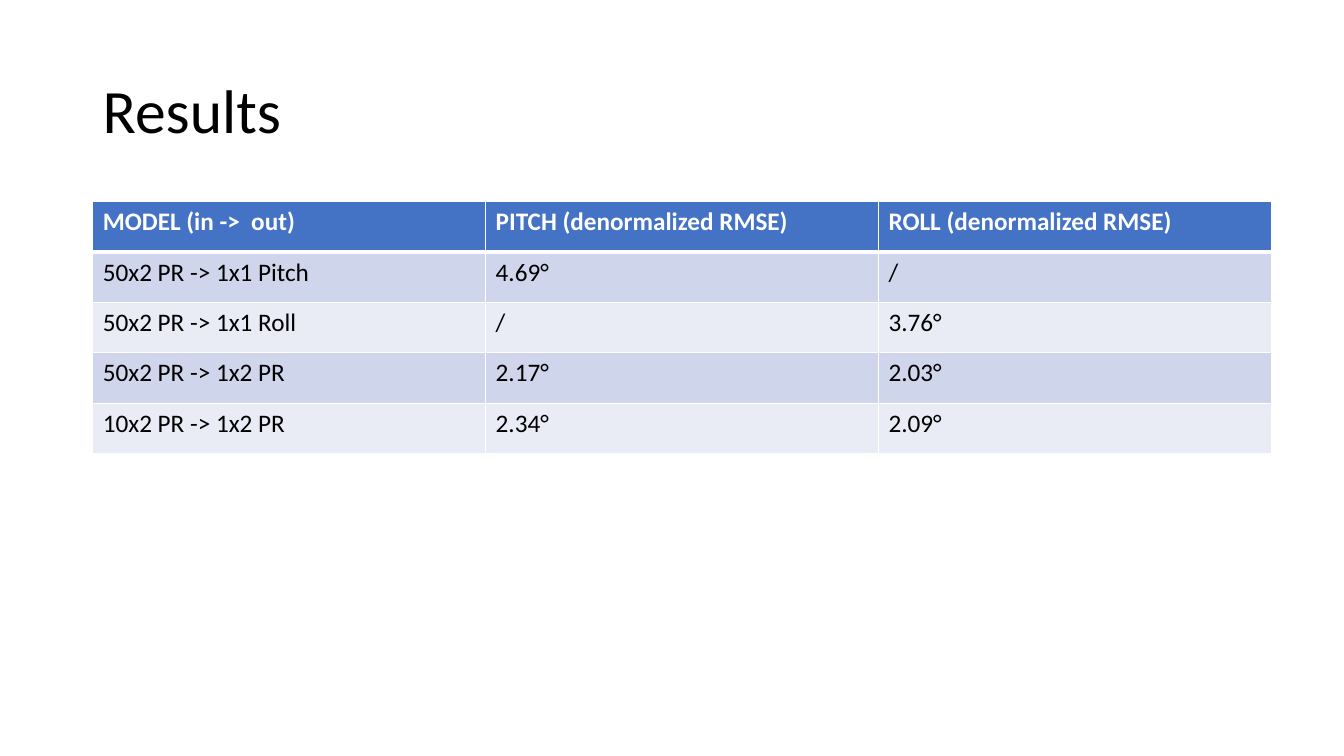
import dataclasses

import pptx
import pptx.dml.color
import pptx.enum.text
import pptx.oxml
import pptx.oxml.ns
import pptx.util

WIDE = pptx.util.Inches(13.33)
HIGH = pptx.util.Inches(7.5)
LEFT = pptx.util.Inches(0.92)
FONT = "Calibri"
COLORS = {
    "head": "4472C4",
    "odd": "CFD5EA",
    "even": "E9EBF5",
    "white": "FFFFFF",
    "black": "000000",
}


@dataclasses.dataclass(frozen=True)
class Look:
    fill: str
    ink: str
    bold: bool = False
    above: float = 1
    below: float = 1


@dataclasses.dataclass(frozen=True)
class Result:
    model: str
    pitch: str
    roll: str


HEADER = Result("MODEL (in ->  out)", "PITCH (denormalized RMSE)", "ROLL (denormalized RMSE)")
RESULTS = [
    Result("50x2 PR -> 1x1 Pitch", "4.69°", "/"),
    Result("50x2 PR -> 1x1 Roll", "/", "3.76°"),
    Result("50x2 PR -> 1x2 PR", "2.17°", "2.03°"),
    Result("10x2 PR -> 1x2 PR", "2.34°", "2.09°"),
]


def color(name: str) -> pptx.dml.color.RGBColor:
    return pptx.dml.color.RGBColor.from_string(COLORS[name])


def style(para, size: float, ink: str, bold: bool = False) -> None:
    para.font.name = FONT
    para.font.size = pptx.util.Pt(size)
    para.font.bold = bold
    para.font.color.rgb = color(ink)


def border(cell, look: Look) -> None:
    props = cell._tc.get_or_add_tcPr()
    for side, points in zip("LRTB", (1, 1, look.above, look.below)):
        props.append(pptx.oxml.parse_xml(
            f'<a:ln{side} {pptx.oxml.ns.nsdecls("a")} w="{pptx.util.Pt(points)}">'
            f'<a:solidFill><a:srgbClr val="{COLORS["white"]}"/></a:solidFill></a:ln{side}>'
        ))


def paint(cell, text: str, look: Look) -> None:
    border(cell, look)
    cell.fill.solid()
    cell.fill.fore_color.rgb = color(look.fill)
    cell.text = text
    style(cell.text_frame.paragraphs[0], 18, look.ink, look.bold)


def pick(row: int) -> Look:
    if row == 0:
        return Look("head", "white", bold=True, below=3)
    return Look("odd" if row % 2 else "even", "black", above=3 if row == 1 else 1)


def title(slide, text: str) -> None:
    box = slide.shapes.add_textbox(
        LEFT, pptx.util.Inches(0.4), WIDE - 2 * LEFT, pptx.util.Inches(1.45)
    )
    frame = box.text_frame
    frame.word_wrap = True
    frame.vertical_anchor = pptx.enum.text.MSO_ANCHOR.MIDDLE
    frame.text = text
    para = frame.paragraphs[0]
    para.line_spacing = 0.9
    style(para, 44, "black")


def table(slide, items: list[Result]) -> None:
    rows = [dataclasses.astuple(item) for item in items]
    grid = slide.shapes.add_table(
        len(rows), len(rows[0]), LEFT, pptx.util.Inches(2),
        pptx.util.Inches(11.69), pptx.util.Inches(0.5) * len(rows),
    ).table
    for row, texts in enumerate(rows):
        for col, text in enumerate(texts):
            paint(grid.cell(row, col), text, pick(row))


deck = pptx.Presentation()
deck.slide_width = WIDE
deck.slide_height = HIGH
slide = deck.slides.add_slide(deck.slide_layouts[6])
title(slide, "Results")
table(slide, [HEADER, *RESULTS])
deck.save("out.pptx")
